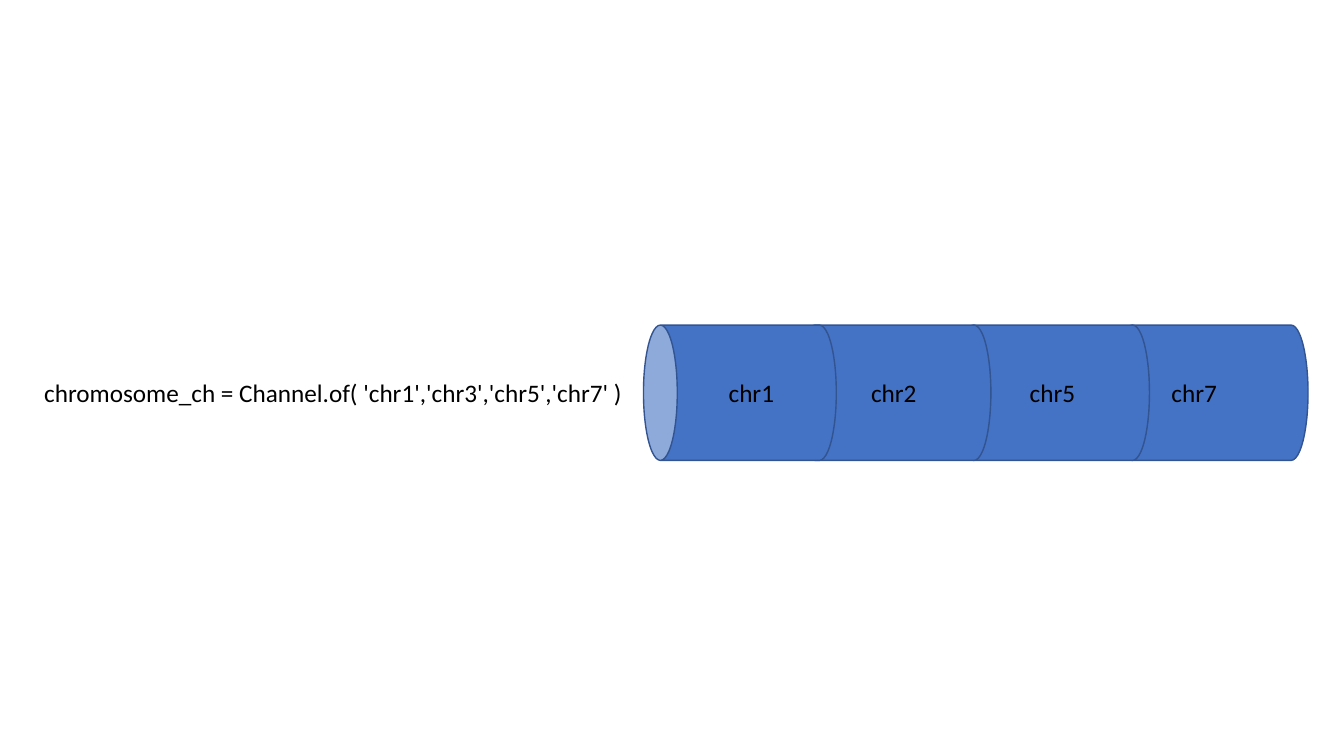
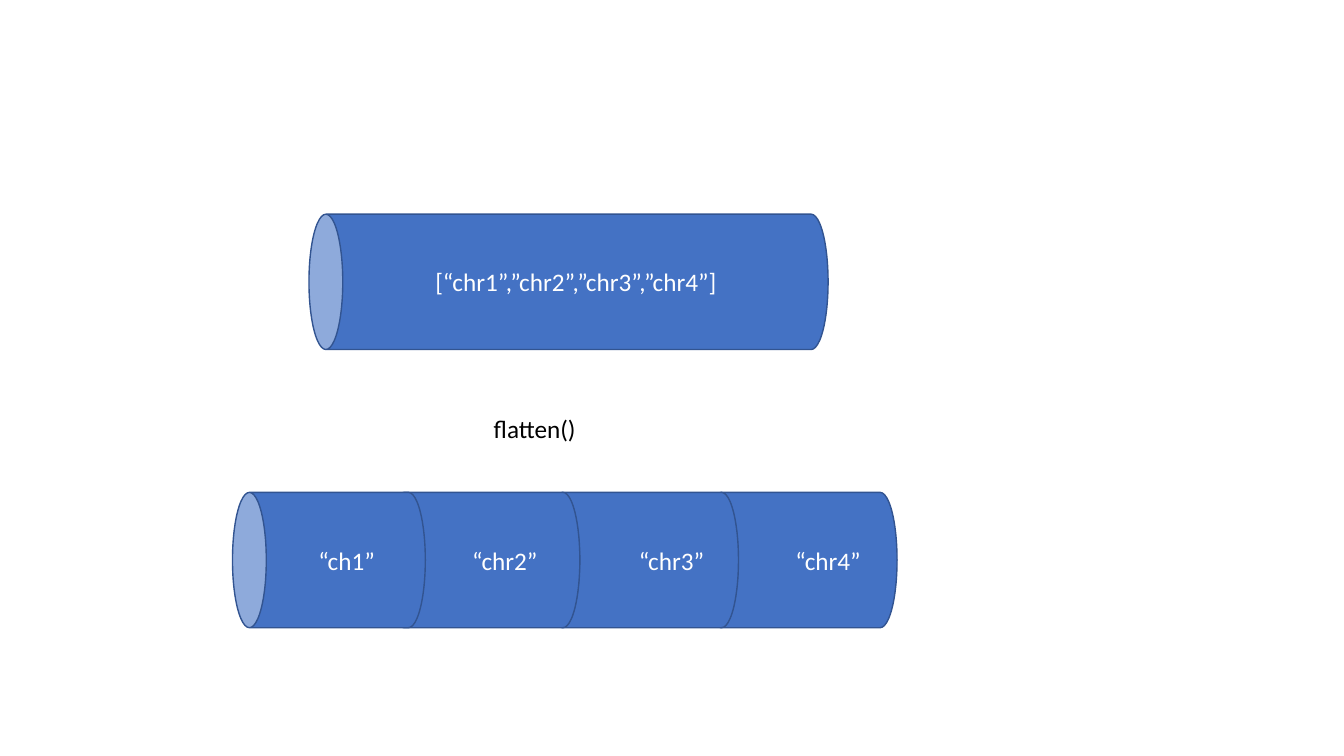
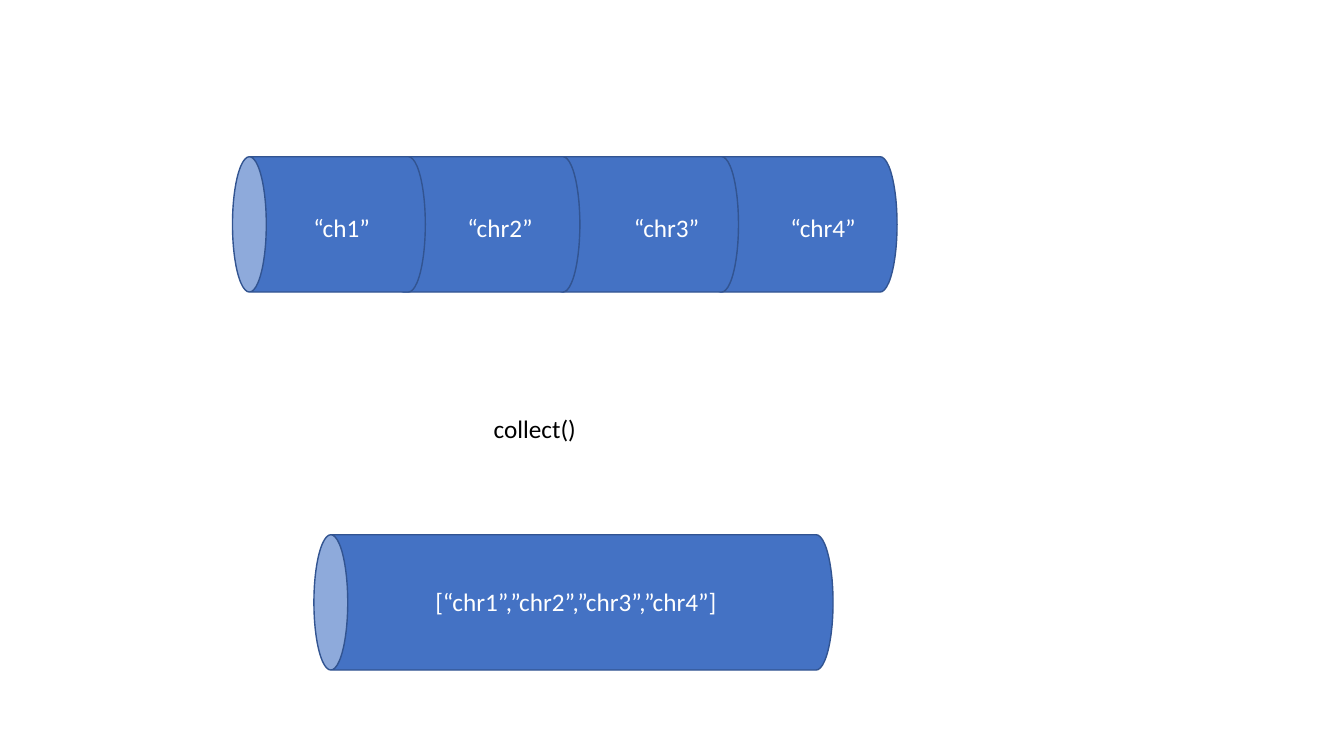
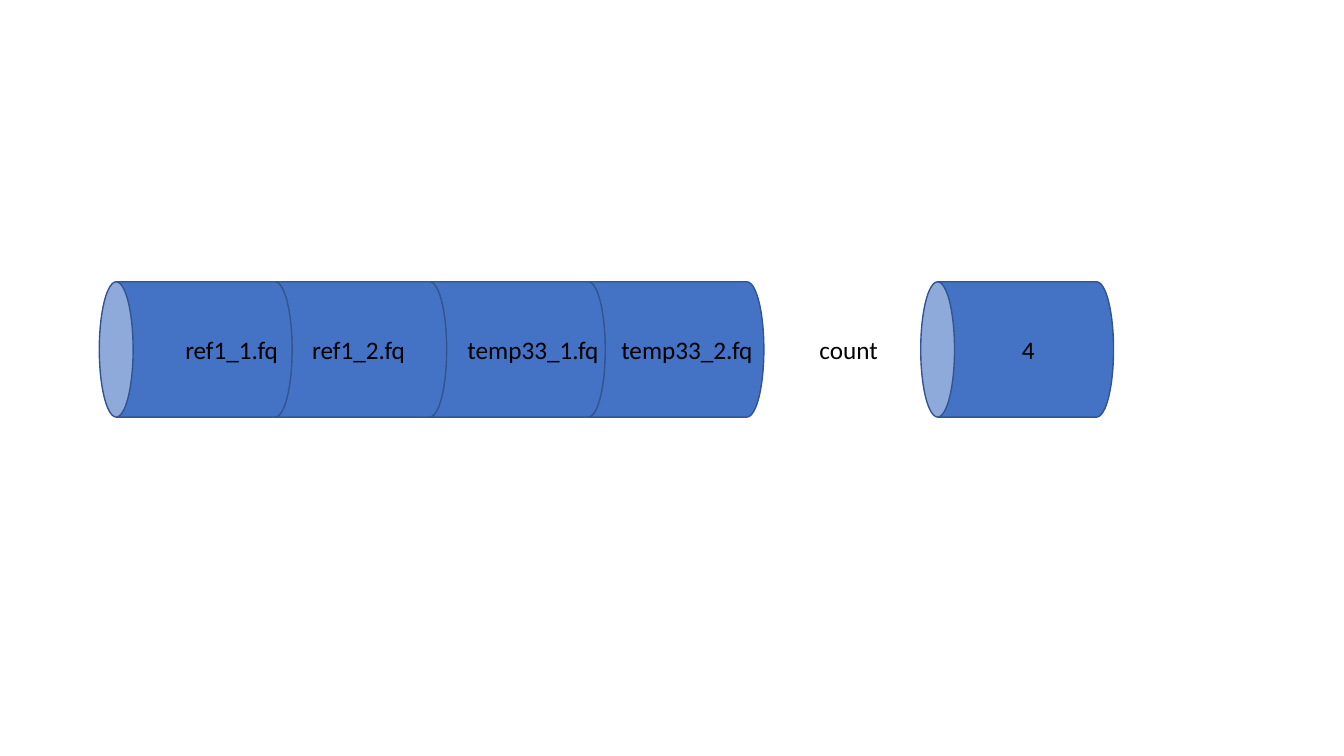
from pptx import Presentation
from pptx.dml.color import RGBColor
from pptx.enum.shapes import MSO_SHAPE
from pptx.enum.text import MSO_AUTO_SIZE
from pptx.oxml.xmlchemy import OxmlElement
from pptx.util import Inches, Pt

CAN = MSO_SHAPE.CAN
GROW = MSO_AUTO_SIZE.SHAPE_TO_FIT_TEXT
BLANK_LAYOUT = 6

BLUE = RGBColor(0x44, 0x72, 0xC4)
DARK_BLUE = RGBColor(0x32, 0x54, 0x91)
BLACK = RGBColor(0x00, 0x00, 0x00)
WHITE = RGBColor(0xFF, 0xFF, 0xFF)

FONT = "Calibri"
TEXT_SIZE = Pt(18)

# Lengths are percent of the slide's width (across) or height (down).
CAN_HEIGHT = 17.9
CAN_LENGTH = 14.35
LONG_CAN_LENGTH = 38.63
CHAIN_STEPS = (0, 11.5, 23.3, 35.1)
TEXT_HEIGHT = 5.39
ROW_WIDTH = 48.68
LIST_WIDTH = 27.75

CHROMOSOMES = ("“ch1”", "“chr2”", "“chr3”", "“chr4”")
CHROMOSOME_TABS = (11.45, 23.85, 35.5)
CHROMOSOME_LIST = "[“chr1”,”chr2”,”chr3”,”chr4”]"


class ChannelDeck:
    """Draws channels as lying cans, with their items written on them."""

    def __init__(self):
        """Start an empty widescreen deck."""
        self.deck = Presentation()
        self.deck.slide_width = Inches(13.333)
        self.deck.slide_height = Inches(7.5)
        self.page = None

    def add_page(self):
        """Start a new blank slide."""
        layout = self.deck.slide_layouts[BLANK_LAYOUT]
        self.page = self.deck.slides.add_slide(layout)

    def across(self, share):
        """Turn a percentage of the slide's width into a length."""
        return round(self.deck.slide_width * share / 100)

    def down(self, share):
        """Turn a percentage of the slide's height into a length."""
        return round(self.deck.slide_height * share / 100)

    def can(self, left, top, length=CAN_LENGTH):
        """Add a can lying on its side; left and top are as seen."""
        long_side, short_side = self.across(length), self.down(CAN_HEIGHT)
        shift = (long_side - short_side) // 2
        can = self.page.shapes.add_shape(
            CAN, self.across(left) + shift, self.down(top) - shift,
            short_side, long_side)
        can.rotation = 270
        can.shadow.inherit = False
        can.fill.solid()
        can.fill.fore_color.rgb = BLUE
        can.line.color.rgb = DARK_BLUE
        can.line.width = Pt(1)

    def chain(self, left, top):
        """Add four overlapping cans, the leftmost in front."""
        for step in reversed(CHAIN_STEPS):
            self.can(left + step, top)

    def label(self, text, left, top, width, color=BLACK, wrap=False):
        """Add one line of text and return its paragraph."""
        box = self.page.shapes.add_textbox(
            self.across(left), self.down(top),
            self.across(width), self.down(TEXT_HEIGHT))
        frame = box.text_frame
        frame.word_wrap = wrap
        frame.auto_size = GROW
        frame.text = text
        para = frame.paragraphs[0]
        for span in para.runs:
            span.font.name = FONT
            span.font.size = TEXT_SIZE
            span.font.color.rgb = color
        return para

    def items(self, names, tabs, left, top, color=BLACK):
        """Add the names of a chain's items, set out by tab stops."""
        width = min(ROW_WIDTH, 100 - left)
        para = self.label("\t".join(names), left, top, width, color, wrap=True)
        tab_list = OxmlElement("a:tabLst")
        for position in tabs:
            tab = OxmlElement("a:tab")
            tab.set("pos", str(self.across(position)))
            tab.set("algn", "l")
            tab_list.append(tab)
        para._p.get_or_add_pPr().append(tab_list)

    def chromosome_chain(self, top, names_left, names_top):
        """Add the chain that holds one chromosome in each can."""
        self.chain(17.3, top)
        self.items(CHROMOSOMES, CHROMOSOME_TABS, names_left, names_top, WHITE)

    def chromosome_list(self, left, top, text_top):
        """Add the long can that holds all chromosomes as one list."""
        self.can(left, top, LONG_CAN_LENGTH)
        self.label(CHROMOSOME_LIST, 31.65, text_top, LIST_WIDTH, WHITE, wrap=True)

    def operator(self, name):
        """Name the operator between the upper and the lower channel."""
        self.label(name, 36, 54, 7.73)


def build_channel_of(deck):
    """Show a channel made from four values."""
    deck.add_page()
    deck.chain(47.88, 43)
    deck.items(("chr1", "chr2", "chr5", "chr7"), (10.6, 22.4, 32.95), 53.48, 49.2)
    deck.label("chromosome_ch = Channel.of( 'chr1','chr3','chr5','chr7' )",
               2.55, 49.2, 45.08)


def build_flatten(deck):
    """Show a list split into single items."""
    deck.add_page()
    deck.chromosome_chain(65.13, 22.95, 71.47)
    deck.operator("flatten()")
    deck.chromosome_list(22.99, 28.33, 34.53)


def build_collect(deck):
    """Show single items gathered into a list."""
    deck.add_page()
    deck.chromosome_chain(20.73, 22.58, 27.47)
    deck.operator("collect()")
    deck.chromosome_list(23.36, 70.73, 76.93)


def build_count(deck):
    """Show the number of files in a channel."""
    deck.add_page()
    can_top, text_top = 37.27, 43.6
    deck.chain(7.39, can_top)
    deck.items(("ref1_1.fq", "ref1_2.fq", "temp33_1.fq", "temp33_2.fq"),
               (9.45, 21, 32.45), 13.05, text_top)
    deck.can(68.51, can_top)
    deck.label("count", 60.23, text_top, 5.93)
    deck.label("4", 75.3, text_top, 3, wrap=True)


def main():
    """Build the four slides and save them."""
    channels = ChannelDeck()
    for build in (build_channel_of, build_flatten, build_collect, build_count):
        build(channels)
    channels.deck.save("out.pptx")


main()
